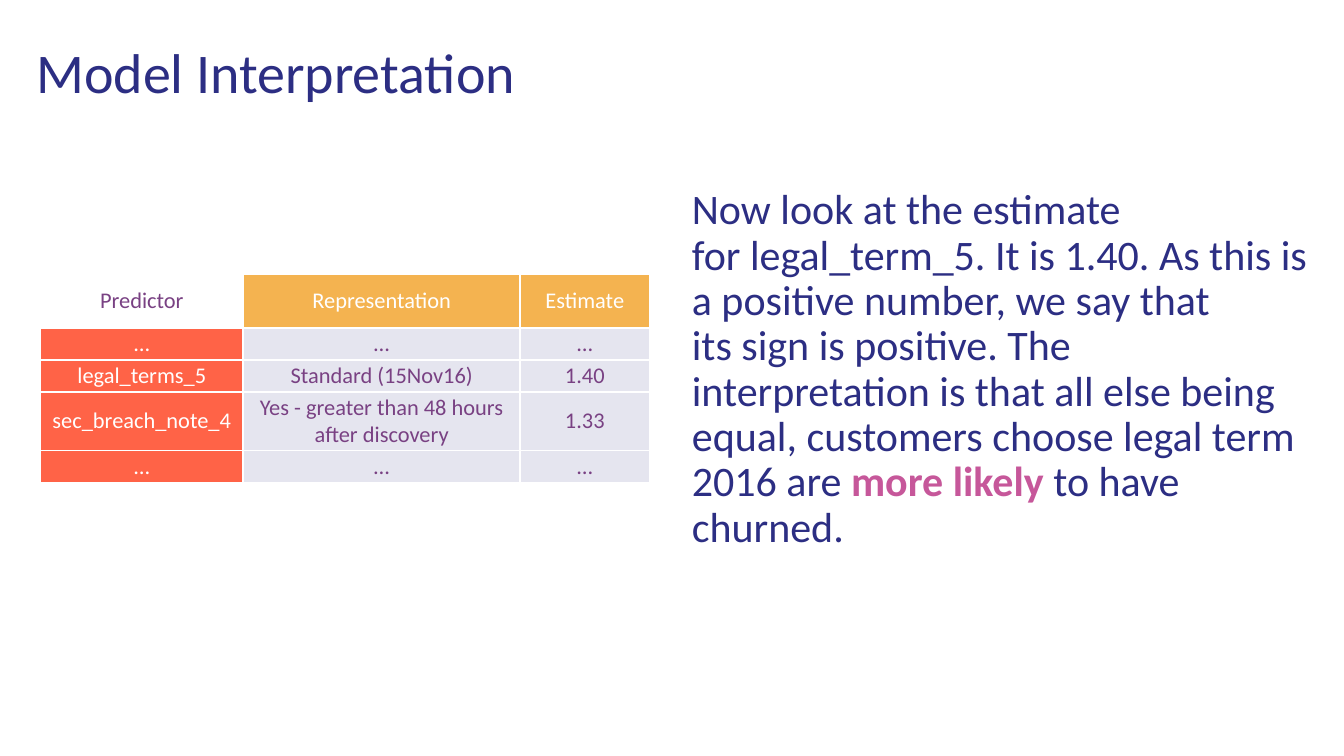
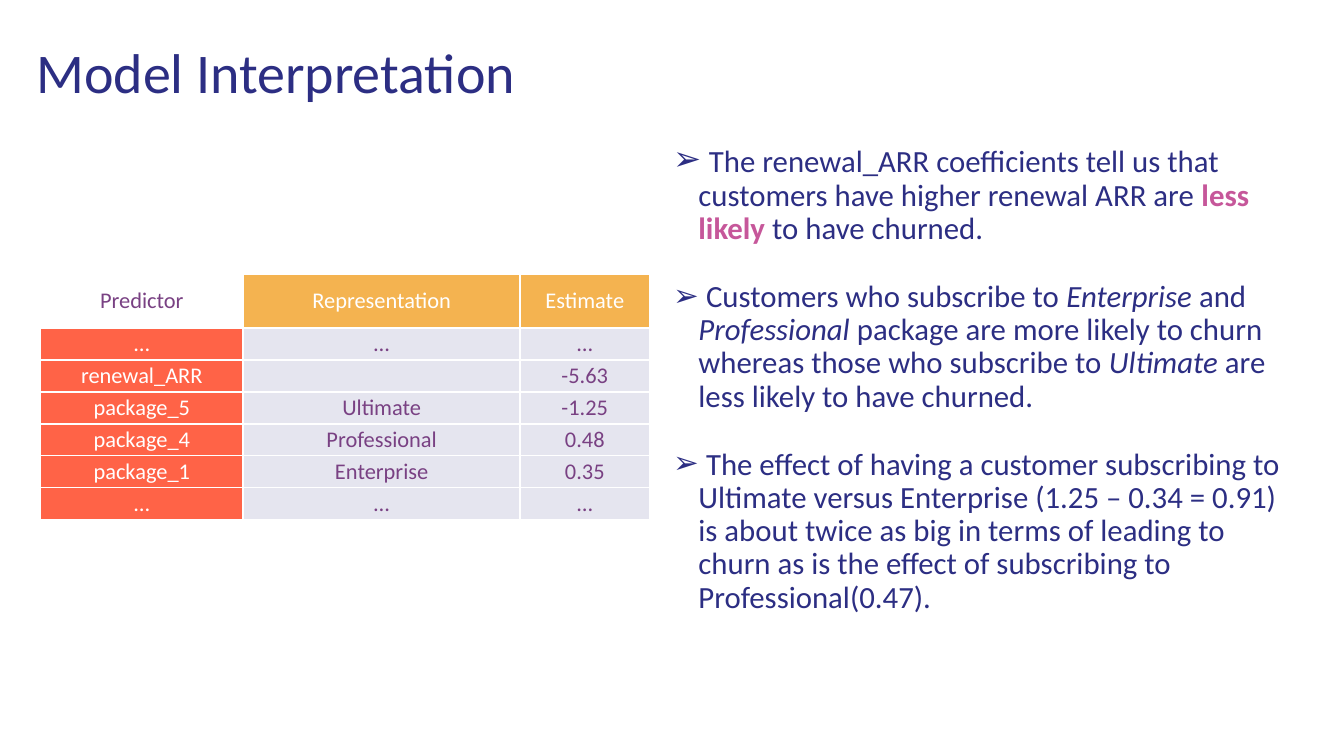
import pptx
import pptx.util
import pptx.dml.color
import pptx.enum.text
import pptx.oxml.ns
from lxml import etree

Inches, Pt = pptx.util.Inches, pptx.util.Pt
Anchor = pptx.enum.text.MSO_ANCHOR
Align = pptx.enum.text.PP_ALIGN
qn = pptx.oxml.ns.qn

COLORS = {
    "navy": "2C2E83",
    "pink": "C6579A",
    "plum": "794183",
    "amber": "F4B350",
    "tomato": "FF6347",
    "white": "FFFFFF",
}
FONT = "Calibri"
TITLE = "Model Interpretation"
HEAD = ("Predictor", "Representation", "Estimate")
DOTS = ("…", "…", "…")
HARD = chr(160)  # space that does not break, typed as ~ in the body text


def rgb(name):
    return pptx.dml.color.RGBColor.from_string(COLORS[name])


def solid(parent, name):
    fill = etree.SubElement(parent, qn("a:solidFill"))
    etree.SubElement(fill, qn("a:srgbClr"), val=COLORS[name])


class Deck:
    def __init__(self):
        self.prs = pptx.Presentation()
        self.prs.slide_width = Inches(26.67)
        self.prs.slide_height = Inches(15)
        self.slide = None

    def start(self):
        self.slide = self.prs.slides.add_slide(self.prs.slide_layouts[6])
        self.title(TITLE)

    def style(self, para, size, color):
        para.font.name = FONT
        para.font.size = Pt(size)
        para.font.color.rgb = rgb(color)

    def box(self, left, top, width, height, inset=0.1):
        shape = self.slide.shapes.add_textbox(
            Inches(left), Inches(top), Inches(width), Inches(height))
        frame = shape.text_frame
        frame.word_wrap = True
        frame.margin_left = frame.margin_right = Inches(0.2)
        frame.margin_top, frame.margin_bottom = Inches(inset), Inches(0.1)
        return frame

    def title(self, text):
        frame = self.box(0.52, 0.63, 25.65, 1.73)
        frame.vertical_anchor = Anchor.MIDDLE
        self.fill(frame.paragraphs[0], [(text, "")], 80)

    def fill(self, para, runs, size):
        """Runs are (text, mark): "key" is bold pink, "it" italic, a number a size."""
        self.style(para, size, "navy")
        para.line_spacing = 0.9
        for text, mark in runs:
            run = para.add_run()
            run.text = text.replace("~", HARD)
            if mark == "key":
                run.font.bold = True
                run.font.color.rgb = rgb("pink")
            elif mark == "it":
                run.font.italic = True
            elif mark:
                run.font.size = Pt(mark)

    def body(self, left, paras, size, inset=0.1, bullet=None):
        frame = self.box(left, 2.74, 12.64, 9.52, inset)
        for i, runs in enumerate(paras):
            para = frame.add_paragraph() if i else frame.paragraphs[0]
            self.fill(para, runs, size)
            if i:
                para.space_before = Pt(49.7)
            if bullet:
                self.bullet(para, bullet)

    def bullet(self, para, char):
        props = para._p.get_or_add_pPr()
        props.set("marL", str(Inches(0.5)))
        props.set("indent", str(Inches(-0.64)))
        color = etree.Element(qn("a:buClr"))
        etree.SubElement(color, qn("a:srgbClr"), val=COLORS["navy"])
        face = etree.Element(qn("a:buFont"), typeface=FONT)
        mark = etree.Element(qn("a:buChar"), char=char)
        # Bullet marks come before the default run style
        base = props.find(qn("a:defRPr"))
        for item in (color, face, mark):
            base.addprevious(item)

    def table(self, rows):
        rows = [HEAD, DOTS, *rows, DOTS]
        widths = (4.03, 5.49, 2.57)
        # Least heights: rows grow to hold their text
        heights = [0.7] + [0.44] * (len(rows) - 1)
        table = self.slide.shapes.add_table(
            len(rows), len(widths), Inches(0.8), Inches(5.43),
            Inches(sum(widths)), Inches(sum(heights))).table
        table.first_row = table.horz_banding = False
        for col, width in zip(table.columns, widths):
            col.width = Inches(width)
        for r, (row, height) in enumerate(zip(rows, heights)):
            table.rows[r].height = Inches(height)
            for c, text in enumerate(row):
                self.cell(table.cell(r, c), text, r == 0, c == 0)

    def cell(self, cell, text, head, first):
        para = cell.text_frame.paragraphs[0]
        para.text = text
        para.alignment = Align.CENTER
        # Only the header row or the first column is white, not their corner
        self.style(para, 32, "white" if head != first else "plum")
        cell.vertical_anchor = Anchor.MIDDLE
        if head:
            cell.vertical_anchor = Anchor.TOP if first else Anchor.BOTTOM
            cell.margin_left = cell.margin_right = Inches(0.27)
            cell.margin_top = cell.margin_bottom = Inches(0.27)
        if head and first:
            cell.fill.background()
        else:
            cell.fill.solid()
            name = "amber" if head else "tomato" if first else "navy"
            cell.fill.fore_color.rgb = rgb(name)
        props = cell._tc.get_or_add_tcPr()
        if not head and not first:
            shade = props.find(qn("a:solidFill")).find(qn("a:srgbClr"))
            etree.SubElement(shade, qn("a:alpha"), val="12000")
        # Borders stand before the fill
        for i, side in enumerate(("lnL", "lnR", "lnT", "lnB")):
            line = etree.Element(qn("a:" + side), w=str(Pt(3)))
            solid(line, "white")
            props.insert(i, line)


def main():
    deck = Deck()

    # Legal terms
    deck.start()
    deck.body(13.53, [[
        ("Now look at the estimate for~legal_term_5. It is 1.40. As this is a "
         "positive number, we say that its~sign~is positive. The "
         "interpretation is that all else being equal, customers choose "
         "legal term 2016 are ", ""),
        ("more likely ", "key"),
        ("to have churned.", ""),
    ]], 60, inset=1)
    deck.table([
        ("legal_terms_5", "Standard (15Nov16)", "1.40"),
        ("sec_breach_note_4", "Yes - greater than 48 hours after discovery", "1.33"),
    ])

    # Renewal and packages
    deck.start()
    deck.body(13.16, [
        [(" ", 48),
         ("The renewal_ARR coefficients tell us that customers have higher "
          "renewal ARR are ", ""),
         ("less likely ", "key"),
         ("to have churned.", "")],
        [(" Customers who subscribe to ", ""),
         ("Enterprise", "it"),
         (" and ", ""),
         ("Professional", "it"),
         (" package are more likely to churn whereas those who subscribe to ", ""),
         ("Ultimate", "it"),
         (" are less likely to have churned.", "")],
        [(" The~effect~of having a customer subscribing to Ultimate versus "
          "Enterprise (1.25 – 0.34 = 0.91) is about twice as big in terms of "
          "leading to churn as is the effect of subscribing to "
          "Professional(0.47).", "")],
    ], 44, bullet="➢")
    deck.table([
        ("renewal_ARR", "", "-5.63"),
        ("package_5", "Ultimate", "-1.25"),
        ("package_4", "Professional", "0.48"),
        ("package_1", "Enterprise", "0.35"),
    ])

    deck.prs.save("out.pptx")


if __name__ == "__main__":
    main()
